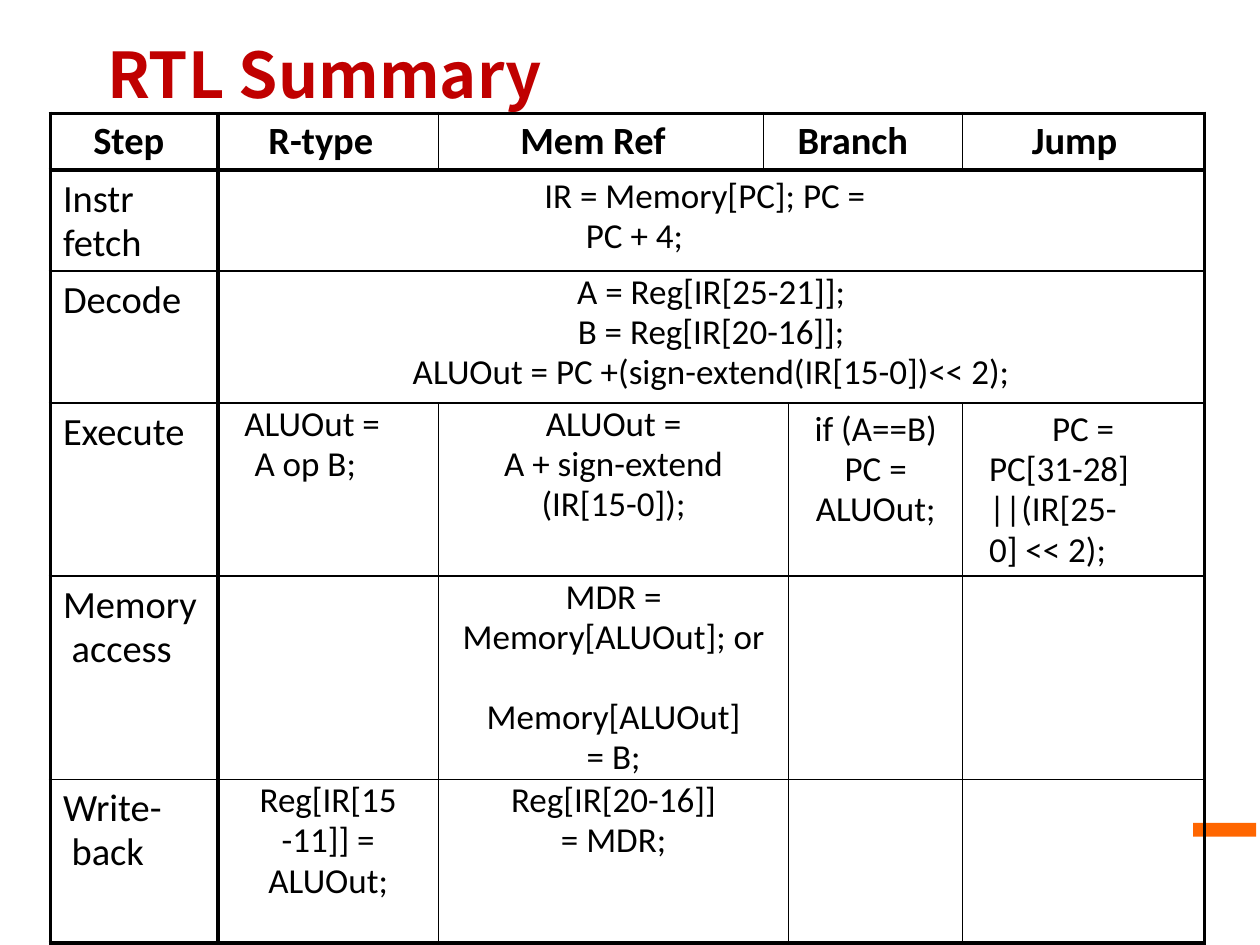
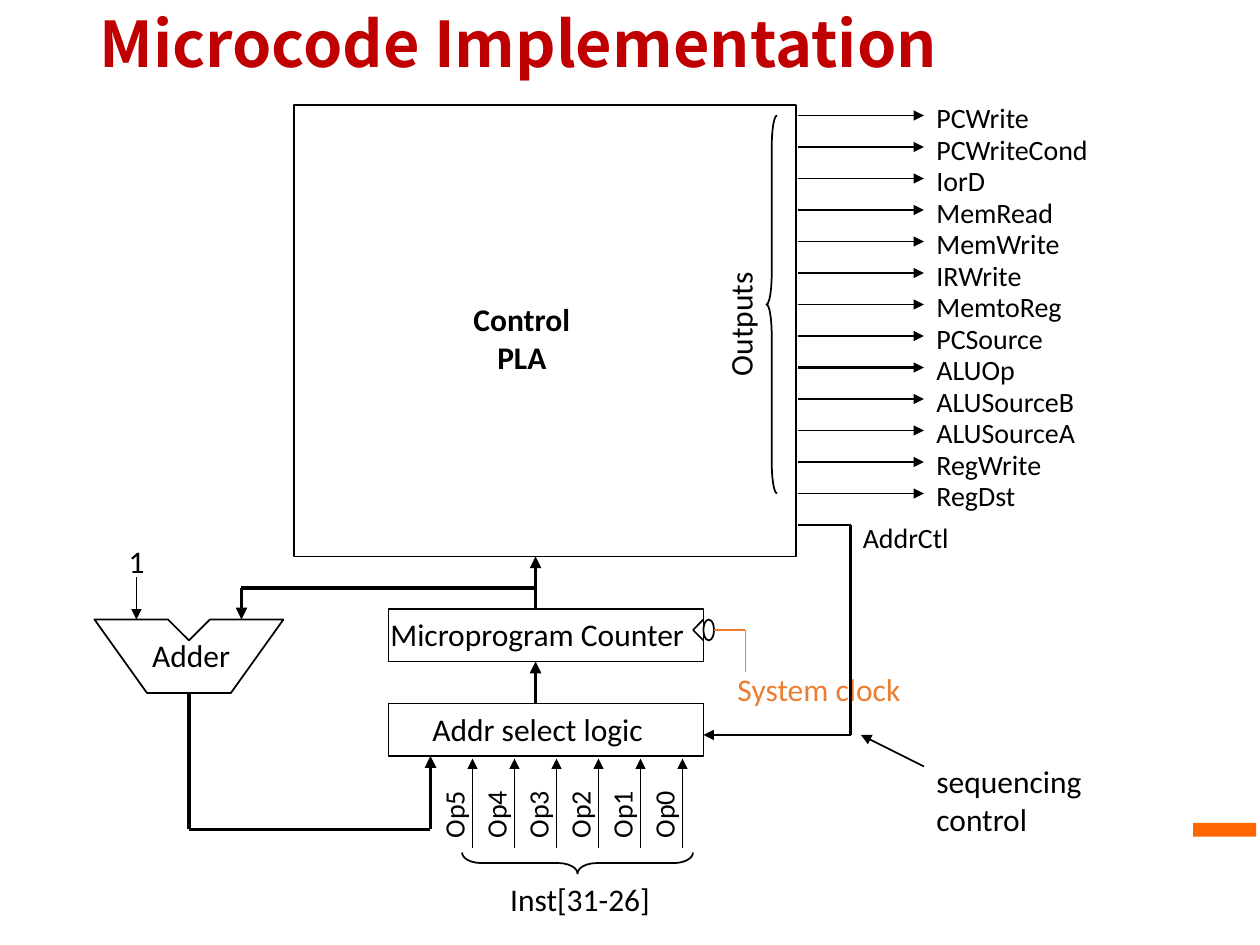
"""Build two slides: the RTL step table and the microcode implementation diagram."""
from lxml import etree
from pptx import Presentation
from pptx.dml.color import RGBColor
from pptx.enum.shapes import MSO_CONNECTOR, MSO_SHAPE
from pptx.enum.text import MSO_ANCHOR, MSO_AUTO_SIZE, PP_ALIGN
from pptx.oxml.ns import qn
from pptx.util import Inches, Pt

BLACK = RGBColor(0x00, 0x00, 0x00)
TITLE_RED = RGBColor(0xC0, 0x00, 0x00)
BAR_ORANGE = RGBColor(0xFF, 0x66, 0x00)
CLOCK_ORANGE = RGBColor(0xED, 0x7D, 0x31)
BODY_FONT = "Calibri"
TITLE_FONT = "Noto Sans CJK SC"
LEFT, CENTER = PP_ALIGN.LEFT, PP_ALIGN.CENTER
MIDDLE, NO_FIT = MSO_ANCHOR.MIDDLE, MSO_AUTO_SIZE.NONE
STRAIGHT = MSO_CONNECTOR.STRAIGHT
RECTANGLE, ELLIPSE = MSO_SHAPE.RECTANGLE, MSO_SHAPE.OVAL
LEFT_BRACE, RIGHT_BRACE = MSO_SHAPE.LEFT_BRACE, MSO_SHAPE.RIGHT_BRACE
PLAIN_TABLE = "{2D5ABB26-0587-4C30-8999-92F81FD0307C}"

prs = Presentation()
prs.slide_width, prs.slide_height = Inches(10), Inches(7.5)
UNIT = prs.slide_width // 120


def write_text(frame, text, size, align=LEFT, bold=False, color=BLACK, font=BODY_FONT):
    """Write paragraphs split at newlines, with line breaks at vertical tabs."""
    for index, line in enumerate(text.split("\n")):
        paragraph = frame.add_paragraph() if index else frame.paragraphs[0]
        paragraph.alignment = align
        for part_index, part in enumerate(line.split("\v")):
            if part_index:
                paragraph.add_line_break()
            run = paragraph.add_run()
            run.text = part
            run.font.name, run.font.size = font, Pt(size)
            run.font.bold, run.font.color.rgb = bold, color


def draw_line(slide, start, end, weight=1, arrow=True, color=BLACK):
    """Draw a straight line between two grid points."""
    ends = [int(value * UNIT) for value in (*start, *end)]
    line = slide.shapes.add_connector(STRAIGHT, *ends)
    line.line.color.rgb, line.line.width = color, Pt(weight)
    if arrow:
        etree.SubElement(line.line._get_or_add_ln(), qn("a:tailEnd"), type="triangle")
    etree.SubElement(line._element.spPr, qn("a:effectLst"))


slides = []
for title_text, box, inset, spacing in [
    ("RTL Summary", (0.85, 0.31, 4.5, 0.55), 0, 1.0),
    ("Microcode Implementation", (0.69, 0, 8.62, 0.75), 0.1, 0.9),
]:
    slide = prs.slides.add_slide(prs.slide_layouts[5])
    slides.append(slide)
    title = slide.shapes.title
    title.left, title.top, title.width, title.height = map(Inches, box)
    frame = title.text_frame
    frame.auto_size, frame.vertical_anchor = NO_FIT, MIDDLE
    frame.margin_left = frame.margin_right = Inches(inset)
    frame.margin_top = frame.margin_bottom = Inches(inset / 2)
    write_text(frame, title_text, 36, bold=True, color=TITLE_RED, font=TITLE_FONT)
    frame.paragraphs[0].line_spacing = spacing
    accent_bar = slide.shapes.add_shape(
        RECTANGLE, Inches(9.47), Inches(6.53), Inches(0.5), Inches(0.11))
    accent_bar.shadow.inherit = False
    accent_bar.fill.solid()
    accent_bar.fill.fore_color.rgb = BAR_ORANGE
    accent_bar.line.fill.background()
summary, microcode = slides

column_widths = [1.33, 1.75, 2.58, 0.2, 1.38, 1.92]
row_heights = [0.45, 0.8, 1.05, 1.37, 1.61, 1.3]
table = summary.shapes.add_table(
    6, 6, Inches(0.4), Inches(0.9),
    Inches(sum(column_widths)), Inches(sum(row_heights))).table
table.first_row = table.horz_banding = False
table._tbl.tblPr.find(qn("a:tableStyleId")).text = PLAIN_TABLE
for column, width in zip(table.columns, column_widths):
    column.width = Inches(width)
for row, height in zip(table.rows, row_heights):
    row.height = Inches(height)

table.cell(0, 3).merge(table.cell(0, 4))
for row in (1, 2):
    table.cell(row, 1).merge(table.cell(row, 5))
for row in (3, 4, 5):
    table.cell(row, 2).merge(table.cell(row, 3))

column_rules = [2.25, 2.25, 1, 1, 1, 1, 2.25]
row_rules = [2.25, 2.25, 1, 1, 1, 1, 3]
for row in range(6):
    for col in range(6):
        cell = table.cell(row, col)
        cell.margin_left = cell.margin_right = cell.margin_bottom = 0
        properties = cell._tc.get_or_add_tcPr()
        if not cell.is_spanned:
            right = col + (cell.span_width if cell.is_merge_origin else 1)
            for edge, weight in [("L", column_rules[col]), ("R", column_rules[right]),
                                 ("T", row_rules[row]), ("B", row_rules[row + 1])]:
                rule = etree.SubElement(properties, qn(f"a:ln{edge}"), w=str(Pt(weight)))
                paint = etree.SubElement(rule, qn("a:solidFill"))
                etree.SubElement(paint, qn("a:srgbClr"), val=str(BLACK))
        cell.fill.background()

entries = [(0, col, LEFT, 0.04, heading, [(indent, 0)]) for col, heading, indent in [
    (0, "Step", 0.34), (1, "R-type", 0.4), (2, "Mem Ref", 0.65),
    (3, "Branch", 0.27), (5, "Jump", 0.55)]]
steps = ["Instr\vfetch", "Decode", "Execute", "Memory\v access", "Write-\v back"]
entries += [(row, 0, LEFT, 0.07, step, [(0.1, 0)]) for row, step in enumerate(steps, 1)]
entries += [
    (1, 1, LEFT, 0.06, "IR = Memory[PC]; PC =\vPC + 4;", [(2.92, -0.33)]),
    (2, 1, CENTER, 0.02, "A = Reg[IR[25-21]];\nB = Reg[IR[20-16]];\n"
     "ALUOut = PC +(sign-extend(IR[15-0])<< 2);", []),
    (3, 1, LEFT, 0.02, "ALUOut =\nA op B;", [(0.21, 0), (0.29, 0)]),
    (3, 2, CENTER, 0.02, "ALUOut =\nA + sign-extend\v(IR[15-0]);", []),
    (3, 4, CENTER, 0.06, "if (A==B)\vPC =\vALUOut;", []),
    (3, 5, LEFT, 0.06, "PC =\vPC[31-28]\n||(IR[25-\n0] << 2);",
     [(0.21, 0.5), (0.21, 0), (0.21, 0)]),
    (4, 2, CENTER, 0.02, "MDR =\nMemory[ALUOut]; or\nMemory[ALUOut]\n= B;", []),
    (5, 1, CENTER, 0.02, "Reg[IR[15\n-11]] =\vALUOut;", []),
    (5, 2, CENTER, 0.02, "Reg[IR[20-16]]\n= MDR;", []),
]
for row, col, align, top, text, indents in entries:
    cell = table.cell(row, col)
    cell.margin_top = Inches(top)
    is_label = row == 0 or col == 0
    write_text(cell.text_frame, text, 22 if is_label else 20, align, bold=row == 0)
    for paragraph in cell.text_frame.paragraphs:
        if row:
            paragraph.line_spacing = Pt(25.1 if is_label else 23)
    for paragraph, (left, first) in zip(cell.text_frame.paragraphs, indents):
        indent = paragraph._p.get_or_add_pPr()
        indent.set("marL", str(Inches(left)))
        indent.set("indent", str(Inches(first)))
table.cell(4, 2).text_frame.paragraphs[2].space_before = Pt(23)

outlines = []
for kind, x, y, width, height in [
    (RECTANGLE, 28, 10, 47.8, 43),
    (RECTANGLE, 37, 58, 30, 5),
    (RECTANGLE, 37, 67, 30, 5),
    (ELLIPSE, 67, 59, 1, 2),
    (LEFT_BRACE, 73, 11, 1, 36),
    (RIGHT_BRACE, 54, 71.2, 2, 22),
]:
    outlines.append(microcode.shapes.add_shape(
        kind, *[int(value * UNIT) for value in (x, y, width, height)]))
output_brace, opcode_brace = outlines[-2:]
output_brace.adjustments[0], output_brace.adjustments[1] = 3, 0.5
opcode_brace.adjustments[0], opcode_brace.adjustments[1] = 0.92, 0.5
opcode_brace.rotation = 90
adder = microcode.shapes.build_freeform(27, 59, scale=UNIT)
adder.add_line_segments([(20, 59), (18, 61), (16, 59), (9, 59), (14, 66), (22, 66)])
outlines.append(adder.convert_to_shape())
for outline in outlines:
    outline.shadow.inherit = False
    outline.fill.background()
    outline.line.color.rgb, outline.line.width = BLACK, Pt(1)

labels = [
    (43.2, 28, 13, "Control\nPLA", 18, CENTER, 0, True, BLACK),
    (47, 83.2, 16.5, "Inst[31-26]", 18, CENTER, 0, False, BLACK),
    (88, 72, 18, "sequencing\ncontrol", 18, LEFT, 0, False, BLACK),
    (64, 28.1, 13, "Outputs", 18, LEFT, 270, False, BLACK),
    (68, 63.2, 20, "System clock", 18, CENTER, 0, False, CLOCK_ORANGE),
    (36, 58, 32.4, "Microprogram Counter", 18, LEFT, 0, False, BLACK),
    (40, 67, 24.4, "Addr select logic", 18, LEFT, 0, False, BLACK),
    (11, 51, 4, "1", 18, CENTER, 0, False, BLACK),
    (13, 60, 10.4, "Adder", 18, CENTER, 0, False, BLACK),
    (81, 49, 12, "AddrCtl", 16, LEFT, 0, False, BLACK),
]

signals = ["PCWrite", "PCWriteCond", "IorD", "MemRead", "MemWrite", "IRWrite", "MemtoReg",
           "PCSource", "ALUOp", "ALUSourceB", "ALUSourceA", "RegWrite", "RegDst"]
wide_signals = {"PCSource", "ALUOp", "ALUSourceB"}
for index, signal in enumerate(signals):
    y = 11 + 3 * index
    draw_line(microcode, (76, y), (88, y), 1.5 if signal in wide_signals else 1)
    labels.append((88, y - 2, 20, signal, 16, LEFT, 0, False, BLACK))

for index in range(6):
    x = 45 + 4 * index
    draw_line(microcode, (x, 80.75), (x, 72.25))
    labels.append((x - 5.8, 75.4, 8, f"Op{5 - index}", 16, CENTER, 270, False, BLACK))

for x, y, width, text, size, align, rotation, bold, color in labels:
    height = 4.8 if size == 18 else 4.4
    label = microcode.shapes.add_textbox(
        *[int(value * UNIT) for value in (x, y, width, height)])
    label.rotation = rotation
    label.text_frame.word_wrap = True
    write_text(label.text_frame, text, size, align, bold, color)

for start, end, weight, arrow, color in [
    ((76, 50), (81, 50), 1.5, False, BLACK),
    ((81, 50), (81, 70), 1.5, False, BLACK),
    ((81, 70), (67, 70), 1.5, True, BLACK),
    ((88, 73), (82, 70), 1, True, BLACK),
    ((67, 59), (66, 60), 1, False, BLACK),
    ((66, 60), (67, 61), 1, False, BLACK),
    ((71, 60), (68, 60), 1, False, CLOCK_ORANGE),
    ((71, 60), (71, 64), 1, False, CLOCK_ORANGE),
    ((51, 58), (51, 53), 2.25, True, BLACK),
    ((51, 67), (51, 63), 2.25, True, BLACK),
    ((23, 56), (51, 56), 2.25, False, BLACK),
    ((23, 56), (23, 59), 2.25, True, BLACK),
    ((13, 55), (13, 59), 1, True, BLACK),
    ((18, 66), (18, 79), 2.25, False, BLACK),
    ((18, 79), (41, 79), 2.25, False, BLACK),
    ((41, 79), (41, 72), 2.25, True, BLACK),
]:
    draw_line(microcode, start, end, weight, arrow, color)

prs.save("out.pptx")
